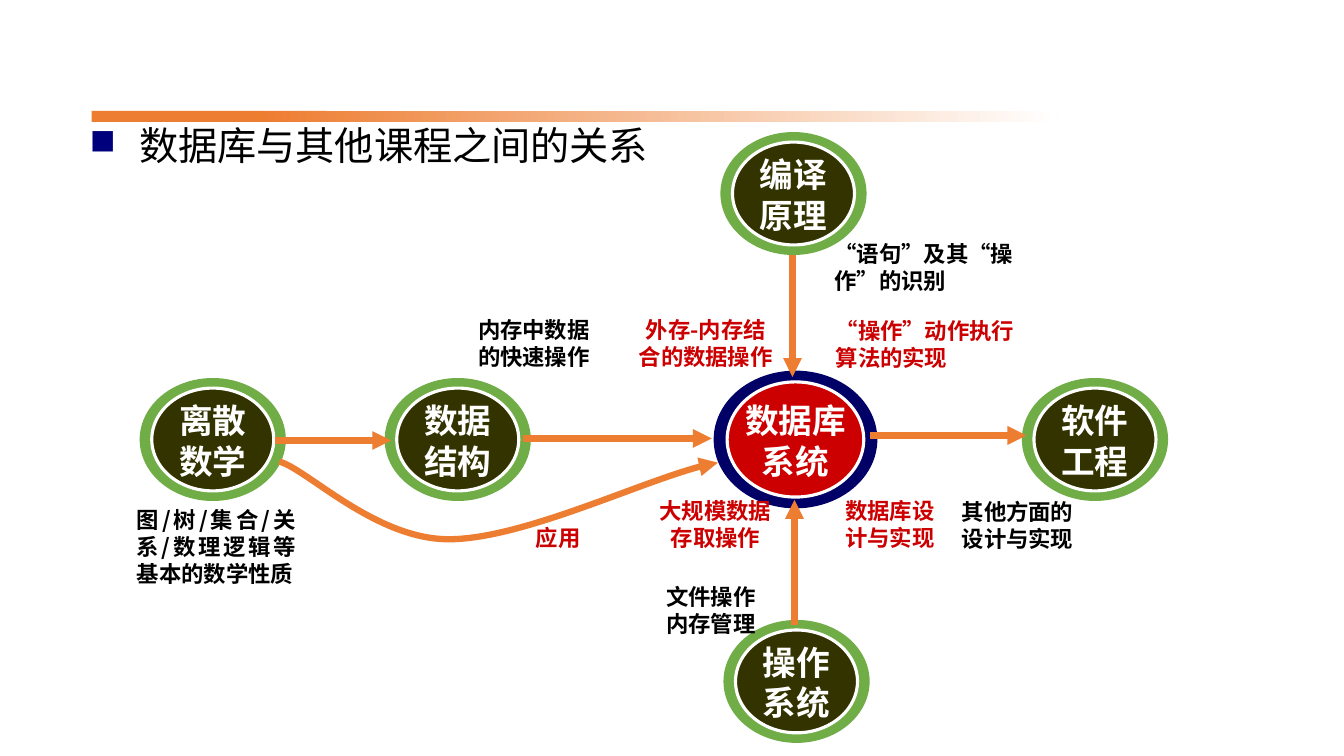
import dataclasses
import pptx
import pptx.dml.color
import pptx.enum.shapes
import pptx.enum.text
import pptx.oxml
import pptx.oxml.ns
import pptx.util

Inches = pptx.util.Inches
Pt = pptx.util.Pt
qn = pptx.oxml.ns.qn
Shape = pptx.enum.shapes.MSO_SHAPE
Align = pptx.enum.text.PP_ALIGN


@dataclasses.dataclass(frozen=True)
class Theme:
    orange: str = "ED7D31"
    green: str = "70AD47"
    olive: str = "333300"
    navy: str = "000066"
    bullet: str = "00007D"
    red: str = "CC0000"
    white: str = "FFFFFF"
    black: str = "000000"
    title_font: str = "Arial"
    body_font: str = "Noto Sans CJK SC"
    title_size: int = 28
    node_size: int = 24
    label_size: int = 16
    arrow_width: float = 4.5
    outline_width: float = 2.25


def rgb(value):
    return pptx.dml.color.RGBColor.from_string(value)


def add_xml(parent, tag, **attributes):
    element = parent.makeelement(qn(tag), attributes)
    parent.append(element)
    return element


class CourseMap:
    def __init__(self, slide, theme):
        self.slide = slide
        self.theme = theme

    def shape(self, shapes, preset, left, top, width, height, color):
        shape = shapes.add_shape(preset, Inches(left), Inches(top), Inches(width), Inches(height))
        shape.shadow.inherit = False
        shape.fill.solid()
        shape.fill.fore_color.rgb = rgb(color)
        shape.line.fill.background()
        return shape

    def text(self, shapes, box, lines, size, color, align=Align.LEFT, wrap=True):
        frame = shapes.add_textbox(*map(Inches, box)).text_frame
        frame.word_wrap = wrap
        frame.text = lines
        for paragraph in frame.paragraphs:
            paragraph.alignment = align
            font = paragraph.font
            font.size = Pt(size)
            font.bold = True
            font.color.rgb = rgb(color)
            font.name = self.theme.body_font
            add_xml(font._element, "a:ea", typeface=self.theme.body_font)
        return frame

    def header_bar(self):
        shapes, theme = self.slide.shapes, self.theme
        self.shape(shapes, Shape.RECTANGLE, 0.91, 1.1, 2.33, 0.11, theme.orange)
        fade = self.shape(shapes, Shape.RECTANGLE, 2.57, 1.1, 7.92, 0.11, theme.orange)
        fade.fill.gradient()
        fade.fill.gradient_angle = 0
        for stop, color in zip(fade.fill.gradient_stops, (theme.orange, theme.white)):
            stop.color.rgb = rgb(color)

    def title(self, box, words):
        theme = self.theme
        frame = self.slide.shapes.add_textbox(*map(Inches, box)).text_frame
        frame.word_wrap = False
        frame.margin_left = frame.margin_right = frame.margin_top = 0
        frame.text = words
        paragraph = frame.paragraphs[0]
        paragraph.line_spacing = 0.9
        paragraph.space_before = Pt(10)
        properties = paragraph._p.get_or_add_pPr()
        properties.set("marL", str(Inches(0.49)))
        properties.set("indent", str(Inches(-0.49)))
        bullet_color = add_xml(properties, "a:buClr")
        add_xml(bullet_color, "a:srgbClr", val=theme.bullet)
        add_xml(properties, "a:buSzPct", val="90000")
        add_xml(properties, "a:buChar", char="■")
        paragraph.font.name = theme.title_font
        paragraph.font.size = Pt(theme.title_size)
        paragraph.font.color.rgb = rgb(theme.black)

    def node(self, x, y, words, ring_color, fill_color, scale=1.0):
        shapes, theme = self.slide.shapes.add_group_shape().shapes, self.theme
        width, height = 1.45 * scale, 1.22 * scale
        ring = self.shape(shapes, Shape.DONUT, x - width / 2, y - height / 2, width, height, ring_color)
        ring.adjustments[0] = 0.1
        width, height = 1.21 * scale, 1.02 * scale
        disc = self.shape(shapes, Shape.OVAL, x - width / 2, y - height / 2, width, height, fill_color)
        disc.line.color.rgb = rgb(theme.white)
        disc.line.width = Pt(theme.outline_width)
        box = (x - width / 2, y - 0.44, width, 0.91)
        self.text(shapes, box, words, theme.node_size, theme.white, Align.CENTER)

    def label(self, box, lines, color, align=Align.CENTER, wrap=True):
        self.text(self.slide.shapes, box, lines, self.theme.label_size, color, align, wrap)

    def arrow_line(self, shape):
        shape.line.color.rgb = rgb(self.theme.orange)
        shape.line.width = Pt(self.theme.arrow_width)
        add_xml(shape.line._get_or_add_ln(), "a:tailEnd", type="triangle")

    def arrow(self, start, end):
        connector = self.slide.shapes.add_connector(
            pptx.enum.shapes.MSO_CONNECTOR.STRAIGHT, *map(Inches, start + end))
        self.arrow_line(connector)
        add_xml(connector._element.spPr, "a:effectLst")

    def curved_arrow(self, start, controls):
        builder = self.slide.shapes.build_freeform(Inches(start[0]), Inches(start[1]))
        builder.add_line_segments([(Inches(x), Inches(y)) for x, y in controls], close=False)
        shape = builder.convert_to_shape()
        shape.shadow.inherit = False
        shape.fill.background()
        self.arrow_line(shape)
        outline = next(shape._element.iter(qn("a:path")))
        segments = outline.findall(qn("a:lnTo"))
        for first in range(0, len(segments), 3):
            curve = add_xml(outline, "a:cubicBezTo")
            for segment in segments[first:first + 3]:
                curve.append(segment[0])
                outline.remove(segment)


def main():
    presentation = pptx.Presentation()
    presentation.slide_width = Inches(13.33)
    presentation.slide_height = Inches(7.5)
    theme = Theme()
    course_map = CourseMap(presentation.slides.add_slide(presentation.slide_layouts[6]), theme)

    course_map.header_bar()
    course_map.title((0.89, 1.26, 5.6, 0.47), "数据库与其他课程之间的关系")

    for x, y, words in (
        (2.11, 4.36, "离散 数学"),
        (4.54, 4.36, "数据 结构"),
        (10.86, 4.36, "软件 工程"),
        (7.9, 6.76, "操作 系统"),
        (7.87, 1.92, "编译 原理"),
    ):
        course_map.node(x, y, words, theme.green, theme.olive)
    course_map.node(7.89, 4.36, "数据库系统", theme.navy, theme.red, 1.12)

    for start, end in (
        ((2.73, 4.37), (3.88, 4.37)),
        ((5.19, 4.35), (7.06, 4.35)),
        ((8.63, 4.32), (10.18, 4.32)),
        ((7.88, 6.2), (7.88, 4.96)),
        ((7.86, 2.53), (7.86, 3.74)),
    ):
        course_map.arrow(start, end)
    course_map.curved_arrow((2.77, 4.58), (
        (3.04, 4.65), (3.72, 5.35), (4.45, 5.35),
        (5.17, 5.35), (6.56, 4.68), (7.12, 4.59)))

    for box, lines in (
        ((4.55, 3.09, 1.49, 0.64), "内存中数据的快速操作"),
        ((6.47, 5.74, 1.16, 0.64), "文件操作\n内存管理"),
    ):
        course_map.label(box, lines, theme.black)
    for box, lines in (
        ((8.27, 4.88, 1.11, 0.64), "数据库设计与实现"),
        ((6.2, 3.09, 1.6, 0.64), "外存-内存结合的数据操作"),
        ((6.35, 4.88, 1.49, 0.64), "大规模数据存取操作"),
    ):
        course_map.label(box, lines, theme.red)
    course_map.label((9.44, 4.89, 1.47, 0.64), "其他方面的设计与实现", theme.black, Align.LEFT)
    course_map.label((8.18, 2.33, 2.01, 0.64), "“语句”及其“操作”的识别", theme.black, Align.LEFT)
    course_map.label((8.19, 3.1, 2.12, 0.64), "“操作”动作执行算法的实现", theme.red, Align.LEFT)
    course_map.label((1.26, 4.97, 1.77, 0.9), "图/树/集合/关系/数理逻辑等基本的数学性质",
                     theme.black, Align.JUSTIFY)
    course_map.label((5.21, 5.15, 0.65, 0.37), "应用", theme.red, wrap=False)

    presentation.save("out.pptx")


if __name__ == "__main__":
    main()
